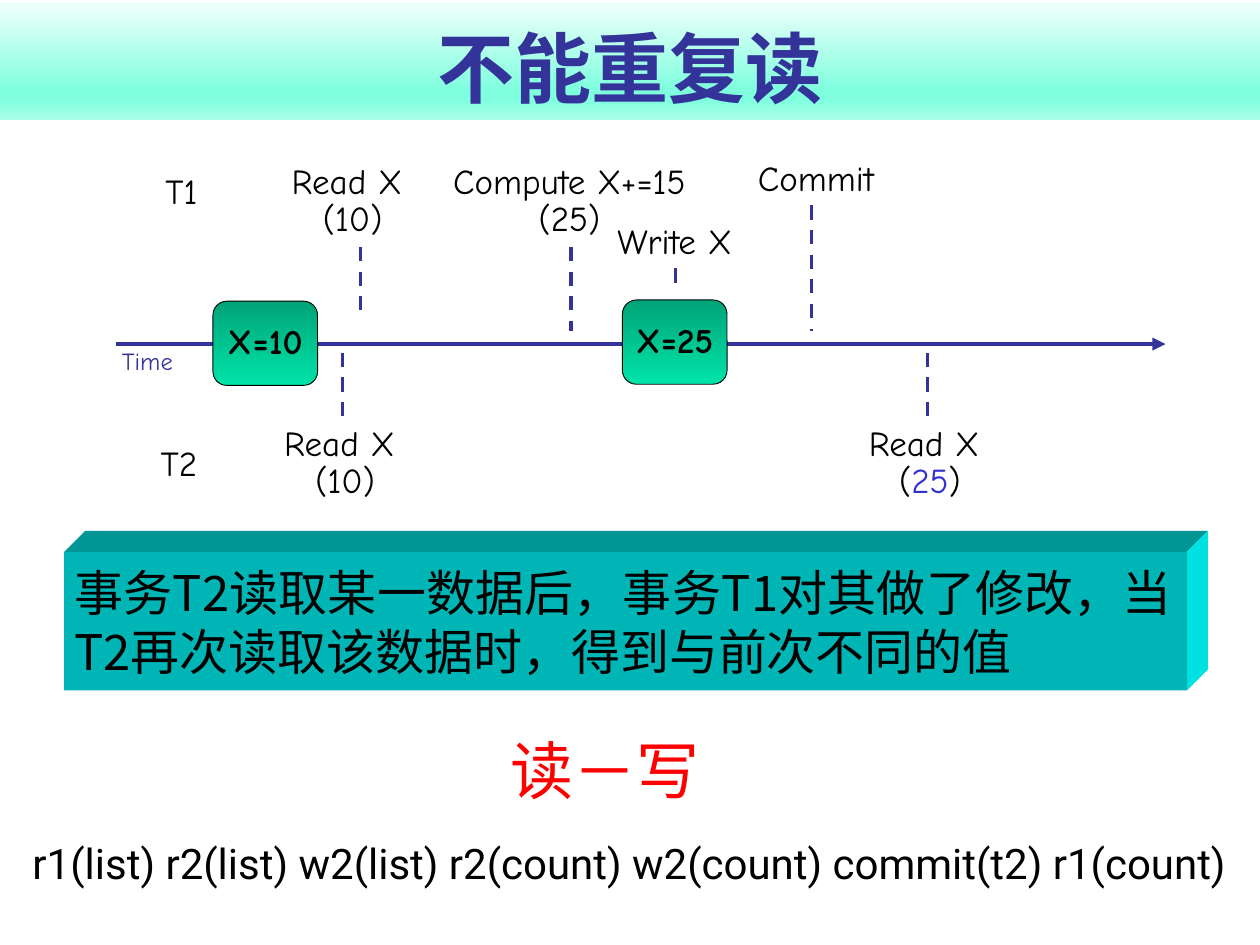
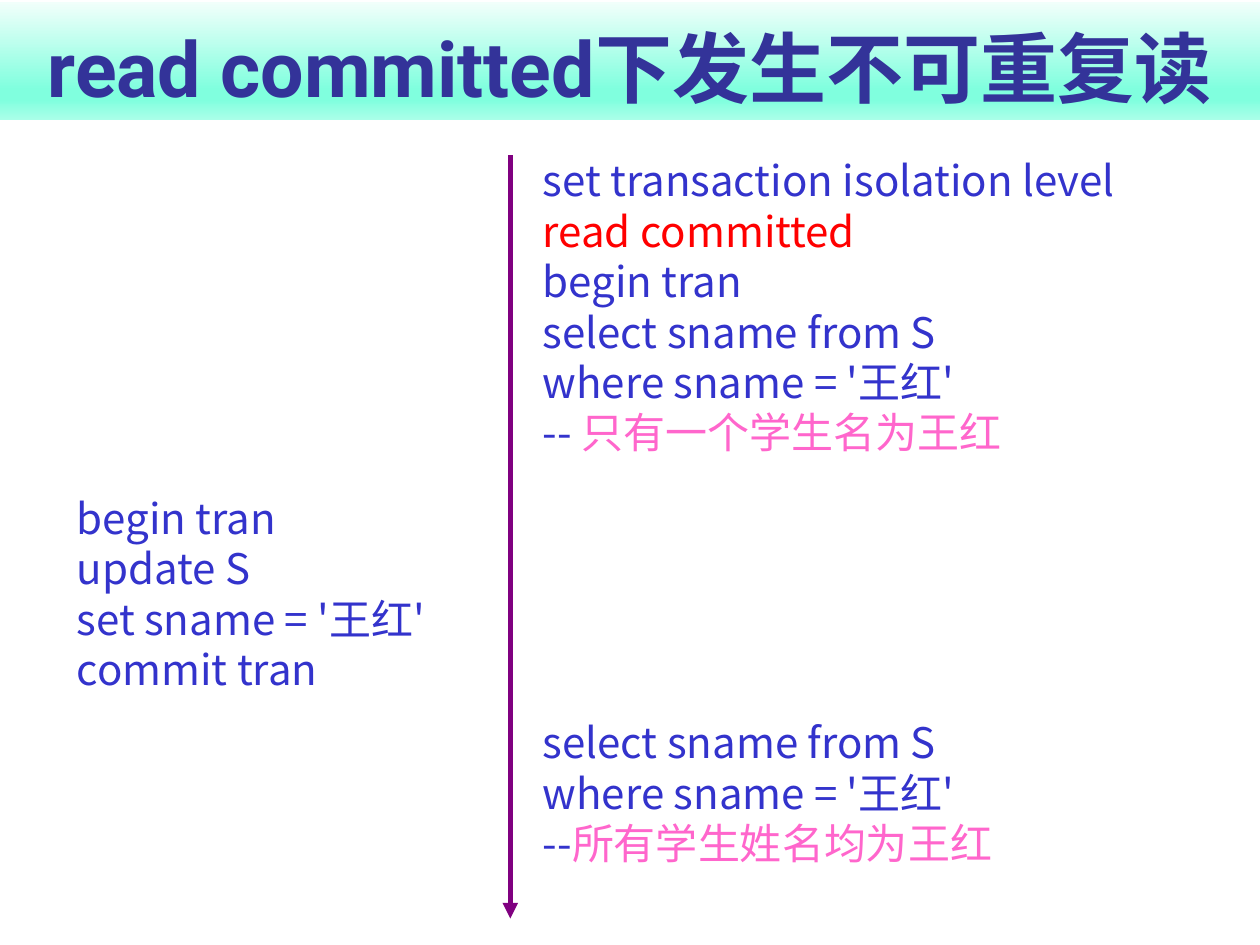
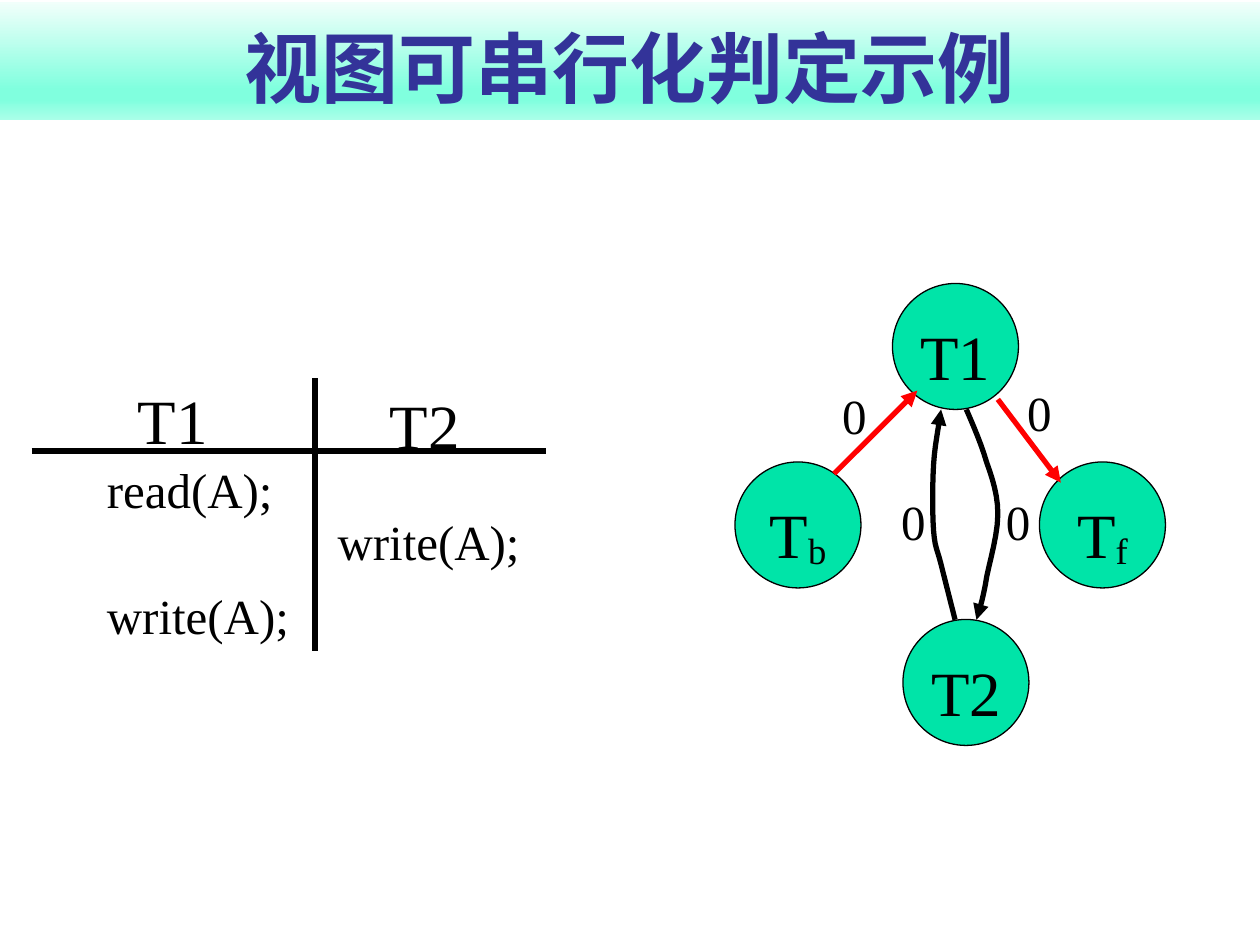
from lxml import etree
from pptx import Presentation
from pptx import util as u
from pptx.dml.color import RGBColor
from pptx.enum import dml, shapes, text
from pptx.oxml.ns import qn

Pt = u.Pt

# Colours
BLACK = RGBColor(0x00, 0x00, 0x00)
NAVY = RGBColor(0x33, 0x33, 0x99)
BLUE = RGBColor(0x33, 0x33, 0xCC)
RED = RGBColor(0xFF, 0x00, 0x00)
PINK = RGBColor(0xFF, 0x66, 0xCC)
PURPLE = RGBColor(0x80, 0x00, 0x80)
GREEN = RGBColor(0x00, 0xE4, 0xA8)
DARK_GREEN = RGBColor(0x00, 0xA3, 0x78)
SLAB_FRONT = RGBColor(0x00, 0xB5, 0xB5)
SLAB_TOP = RGBColor(0x00, 0x96, 0x96)
SLAB_SIDE = RGBColor(0x00, 0xE1, 0xE1)
BAND = [(0, RGBColor(0xF1, 0xFF, 0xFB)), (74, RGBColor(0x80, 0xFF, 0xDE)),
        (83, RGBColor(0x80, 0xFF, 0xDE)), (100, RGBColor(0xAA, 0xFF, 0xE9))]
VALUE_BOX = [(0, DARK_GREEN), (100, GREEN)]

# Fonts and alignment
HAND, SANS, CJK, SERIF = "Comic Neue", "Roboto", "Noto Sans CJK SC", "Times New Roman"
CJK_JP = "Noto Sans CJK JP"
LEFT, CENTER, JUSTIFY = text.PP_ALIGN.LEFT, text.PP_ALIGN.CENTER, text.PP_ALIGN.JUSTIFY
TOP, MIDDLE, BOTTOM = (text.MSO_ANCHOR.TOP, text.MSO_ANCHOR.MIDDLE,
                       text.MSO_ANCHOR.BOTTOM)


def bezier(start, *curves, steps=6):
    """Return points along a chain of cubic curves."""
    points = [start]
    for curve in curves:
        corners = [points[-1], *curve]
        for step in range(1, steps + 1):
            t = step / steps
            weights = ((1 - t) ** 3, 3 * t * (1 - t) ** 2, 3 * t * t * (1 - t), t ** 3)
            points.append(tuple(sum(w * corner[axis] for w, corner in zip(weights, corners))
                                for axis in (0, 1)))
    return points


class Deck:
    def __init__(self):
        self.presentation = Presentation()
        self.presentation.slide_width = Pt(720)
        self.presentation.slide_height = Pt(540)
        self.slide = None

    def start_slide(self, title):
        self.slide = self.presentation.slides.add_slide(self.presentation.slide_layouts[5])
        shape = self.slide.shapes.title
        shape.left, shape.top, shape.width, shape.height = Pt(0), Pt(1.4), Pt(720), Pt(67)
        self.gradient(shape, BAND)
        self.fill_text(shape, [title], 44, SANS, NAVY, CENTER, BOTTOM, bold=True)

    def gradient(self, shape, stops):
        shape.fill.gradient()
        shape.fill.gradient_angle = 270
        stop_list = shape._element.spPr.find(".//" + qn("a:gsLst"))
        stop_list.clear()
        for position, color in stops:
            stop = etree.SubElement(stop_list, qn("a:gs"), pos=str(position * 1000))
            etree.SubElement(stop, qn("a:srgbClr"), val=str(color))

    def fill_text(self, shape, paragraphs, size, font, color, align=LEFT, anchor=TOP,
                  spacing=None, bold=False, wrap=True, margins=(7.2, 3.6, 7.2, 3.6)):
        """Each paragraph is a string or a list of (text, colour, baseline) spans."""
        frame = shape.text_frame
        frame.auto_size = text.MSO_AUTO_SIZE.NONE
        frame.word_wrap = wrap
        frame.vertical_anchor = anchor
        (frame.margin_left, frame.margin_top,
         frame.margin_right, frame.margin_bottom) = map(Pt, margins)
        for index, spans in enumerate(paragraphs):
            paragraph = frame.add_paragraph() if index else frame.paragraphs[0]
            paragraph.alignment = align
            if spacing:
                paragraph.line_spacing = spacing
            if isinstance(spans, str):
                spans = [(spans, color, 0)]
            for number, (words, span_color, baseline) in enumerate(spans):
                done = len(paragraph.runs)
                if number:
                    paragraph.add_run().text = words
                else:
                    paragraph.text = words
                for run in paragraph.runs[done:]:
                    self.style(run, size, font, span_color, bold, baseline)

    def style(self, run, size, font, color, bold, baseline):
        run.font.size = Pt(size)
        run.font.bold = bold
        run.font.name = font
        run.font.color.rgb = color
        properties = run._r.get_or_add_rPr()
        east_asian = font if font in (CJK, CJK_JP) else CJK
        etree.SubElement(properties, qn("a:ea"), typeface=east_asian)
        if baseline:
            properties.set("baseline", str(baseline * 1000))

    def text(self, box, paragraphs, size, font, color=BLACK, **options):
        shape = self.slide.shapes.add_textbox(*map(Pt, box))
        self.fill_text(shape, paragraphs, size, font, color, **options)

    def hand_label(self, box, paragraphs, size=20, color=BLACK):
        self.text(box, paragraphs, size, HAND, color, align=CENTER, anchor=MIDDLE,
                  spacing=0.9, wrap=False)

    def code(self, box, paragraphs):
        self.text(box, paragraphs, 24, CJK, BLUE, spacing=Pt(28.8))

    def big_serif(self, box, spans):
        self.text(box, [spans], 36, SERIF, align=CENTER, margins=(7.2, 7.2, 7.2, 3.6))

    def small_serif(self, box, words, align=LEFT):
        self.text(box, [words], 28, SERIF, align=align, spacing=0.8)

    def shape(self, kind, box, fill, line_width=0):
        shape = self.slide.shapes.add_shape(kind, *map(Pt, box))
        self.paint(shape, fill, line_width)
        return shape

    def paint(self, shape, fill, line_width=0):
        shape.shadow.inherit = False
        if isinstance(fill, list):
            self.gradient(shape, fill)
        else:
            shape.fill.solid()
            shape.fill.fore_color.rgb = fill
        if line_width:
            shape.line.color.rgb = BLACK
            shape.line.width = Pt(line_width)
        else:
            shape.line.fill.background()

    def outline(self, points, close):
        (x, y), *rest = [(Pt(x), Pt(y)) for x, y in points]
        builder = self.slide.shapes.build_freeform(x, y)
        builder.add_line_segments(rest, close=close)
        return builder.convert_to_shape()

    def polygon(self, points, fill):
        self.paint(self.outline(points, True), fill)

    def stroke(self, line, color, width, arrow):
        line.color.rgb = color
        line.width = Pt(width)
        if arrow:
            etree.SubElement(line._get_or_add_ln(), qn("a:tailEnd"), type="triangle")

    def line(self, start, end, color, width, arrow=False, dashed=False):
        connector = self.slide.shapes.add_connector(
            shapes.MSO_CONNECTOR.STRAIGHT, *map(Pt, (*start, *end)))
        if dashed:
            connector.line.dash_style = dml.MSO_LINE.DASH
        self.stroke(connector.line, color, width, arrow)
        etree.SubElement(connector._element.spPr, qn("a:effectLst"))

    def curve(self, points):
        shape = self.outline(points, False)
        shape.shadow.inherit = False
        shape.fill.background()
        self.stroke(shape.line, BLACK, 3, True)

    def value_box(self, left, top, words):
        shape = self.shape(shapes.MSO_SHAPE.ROUNDED_RECTANGLE, (left, top, 59.8, 48.2),
                           VALUE_BOX, 0.5)
        self.fill_text(shape, [words], 20, HAND, BLACK, CENTER, MIDDLE, 0.9, True, False)

    def slab(self, left, top, width, height, depth, words):
        """A box with a visible top and right side."""
        right, bottom = left + width, top + height
        back = (right + depth, top - depth)
        self.polygon([(left, top), (left + depth, top - depth), back, (right, top)], SLAB_TOP)
        self.polygon([(right, top), back, (right + depth, bottom - depth), (right, bottom)],
                     SLAB_SIDE)
        front = self.shape(shapes.MSO_SHAPE.RECTANGLE, (left, top, width, height), SLAB_FRONT)
        self.fill_text(front, [words], 28, CJK_JP, BLACK, JUSTIFY, MIDDLE, Pt(33.6),
                       margins=(5.8, 5.8, 8.6, 5.8))

    def node(self, left, top, spans):
        self.shape(shapes.MSO_SHAPE.OVAL, (left, top, 72, 72), GREEN, 0.75)
        self.big_serif((left + 6, top + 12, 60, 50.4), spans)


def build_timeline(deck):
    deck.start_slide("不能重复读")
    deck.hand_label((82.1, 251.3, 40.3, 28.8), ["T2"])
    deck.hand_label((85, 95.8, 37.4, 28.8), ["T1"])
    deck.line((66.2, 196.6), (666, 196.6), NAVY, 2.5, arrow=True)
    deck.hand_label((61.2, 195.8, 46.1, 22.3), ["Time"], 14, NAVY)

    # Events: label box, label, then x and both ends of the dashed mark
    second_read = [("Read X \v(", BLACK, 0), ("25", BLUE, 0), (")", BLACK, 0)]
    events = [
        ((154.1, 239.8, 86.4, 50.4), ["Read X \v(10)"], 195.8, 201.6, 243.4),
        ((158.4, 90, 86.4, 50.4), ["Read X \v(10)"], 205.9, 141.1, 177.1),
        ((247.7, 90, 155.5, 50.4), ["Compute X+=15", "(25)"], 326.2, 141.1, 189.4),
        ((339.8, 124.6, 91.4, 28.8), ["Write X"], 385.9, 153.4, 165.6),
        ((424.8, 88.6, 82.8, 28.8), ["Commit"], 463.7, 117.4, 189.4),
        ((488.2, 239.8, 86.4, 50.4), [second_read], 529.9, 201.6, 243.4),
    ]
    for box, label, x, mark_top, mark_bottom in events:
        deck.hand_label(box, label)
        deck.line((x, mark_top), (x, mark_bottom), NAVY, 2, dashed=True)
    deck.value_box(355.7, 171.4, "X=25")
    deck.value_box(121.7, 172.1, "X=10")

    # Explanation and schedule
    deck.slab(36.7, 315.4, 641.5, 79.2, 12,
              "事务T2读取某一数据后，事务T1对其做了修改，当T2再次读取该数据时，得到与前次不同的值")
    deck.text((291.6, 414.7, 108, 36), ["读－写"], 36, CJK, RED, align=CENTER,
              spacing=Pt(43.2), wrap=False)
    deck.text((11.5, 472.3, 700.6, 36),
              ["r1(list) r2(list) w2(list) r2(count) w2(count) commit(t2) r1(count)"],
              24, SANS, margins=(7.2, 6, 7.2, 3.6))


def build_read_committed(deck):
    deck.start_slide("read committed下发生不可重复读")
    query = ["select sname from S", "where sname = '王红'"]
    deck.code((303.1, 85, 391.7, 181.4), [
        "set transaction isolation level", [("read committed", RED, 0)], "begin tran", *query,
        [("-- ", BLUE, 0), ("只有一个学生名为王红", PINK, 0)]])
    deck.code((36.7, 277.9, 238.3, 123.8),
              ["begin tran", "update S", "set sname = '王红'", "commit tran"])
    deck.code((303.1, 406.1, 306, 94.3),
              [*query, [("--", BLUE, 0), ("所有学生姓名均为王红", PINK, 0)]])
    deck.line((291.6, 88.6), (291.6, 524.9), PURPLE, 3, arrow=True)


def build_view_graph(deck):
    deck.start_slide("视图可串行化判定示例")

    # Schedule of both transactions
    deck.big_serif((59.8, 211, 77.8, 50.4), "T1")
    deck.big_serif((203.8, 213.8, 77.8, 50.4), "T2")
    for left, top, step in [(54, 265.7, "read(A);"), (54, 337.7, "write(A);"),
                            (185.8, 295.2, "write(A);")]:
        deck.small_serif((left, top, 129, 33.8), step)
    deck.line((18, 257.8), (311.8, 257.8), BLACK, 3)
    deck.line((180, 216), (180, 372.2), BLACK, 3)

    # Nodes
    deck.node(510, 162, "T1")
    deck.node(594, 264, [("T", BLACK, 0), ("f", BLACK, -10)])
    deck.node(420, 264, [("T", BLACK, 0), ("b", BLACK, -10)])
    deck.node(516, 354, "T2")

    # Edges and their labels
    deck.line((476.6, 270.7), (524.2, 223.2), RED, 3, arrow=True)
    deck.line((570.2, 228.2), (606.2, 275.8), RED, 3, arrow=True)
    deck.curve(bezier((545.8, 354.2),
                      ((542.9, 342.7), (540, 331.2), (537.8, 322.6)),
                      ((535.7, 313.9), (534.2, 313.2), (533.5, 303.1)),
                      ((532.8, 293.8), (532.8, 277.2), (533.5, 265.7)),
                      ((534.2, 254.2), (536.4, 244.1), (537.8, 234))))
    deck.curve(bezier((552.2, 234),
                      ((556.6, 244.1), (560.9, 254.2), (563.8, 264.2)),
                      ((567.4, 274.3), (570.2, 283), (570.2, 293.8)),
                      ((570.2, 305.3), (565.9, 319.7), (563.8, 329.8)),
                      ((562.3, 339.8), (560.2, 347), (558, 354.2))))
    for left, top in [(470.2, 223.2), (504, 283.7), (563.8, 283.7), (576, 221.8)]:
        deck.small_serif((left, top, 36, 33.8), "0", CENTER)


def main():
    deck = Deck()
    build_timeline(deck)
    build_read_committed(deck)
    build_view_graph(deck)
    deck.presentation.save("out.pptx")


if __name__ == "__main__":
    main()
